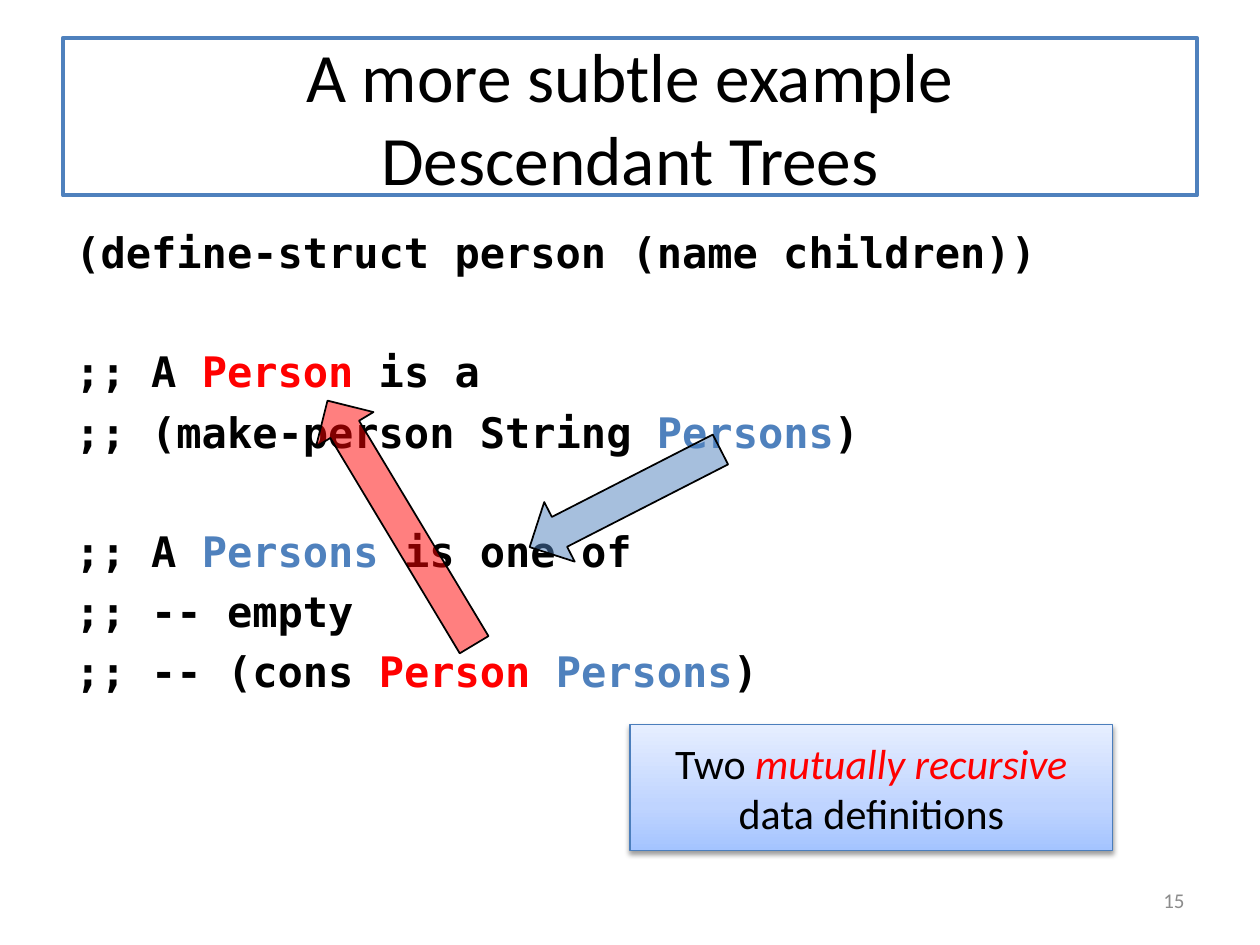
from copy import deepcopy

from lxml import etree
from pptx import Presentation
from pptx.dml.color import RGBColor
from pptx.enum.shapes import MSO_SHAPE
from pptx.enum.text import MSO_ANCHOR, MSO_AUTO_SIZE, PP_ALIGN
from pptx.oxml.ns import qn
from pptx.util import Cm, Pt

RECT, ARROW = MSO_SHAPE.RECTANGLE, MSO_SHAPE.RIGHT_ARROW
MIDDLE, NO_FIT = MSO_ANCHOR.MIDDLE, MSO_AUTO_SIZE.NONE
LEFT, CENTER, RIGHT = PP_ALIGN.LEFT, PP_ALIGN.CENTER, PP_ALIGN.RIGHT

SANS, MONO = "Calibri", "DejaVu Sans Mono"
COLORS = {
    "white": "FFFFFF", "black": "000000", "red": "FF0000", "blue": "4F81BD",
    "gray": "8C8C8C", "box_line": "4B7EBC",
}
BOX_GRADIENT = [(0, "A4C4FF"), (0.35, "BFD4FF"), (1, "E6EEFF")]
LINE_GAP, BLOCK_GAP = 5.6, 39.2

# Each code line: space before in points, then (text, colour) pieces
CODE = [
    (0, [("(define-struct person (name children))", "black")]),
    (BLOCK_GAP, [(";; A ", "black"), ("Person", "red"), (" is a", "black")]),
    (LINE_GAP, [(";; (make-person String ", "black"), ("Persons", "blue"), (")", "black")]),
    (BLOCK_GAP, [(";; A ", "black"), ("Persons", "blue"), (" is one of", "black")]),
    (LINE_GAP, [(";; -- empty", "black")]),
    (LINE_GAP, [(";; -- (cons ", "black"), ("Person ", "red"), ("Persons", "blue"),
                (")", "black")]),
]


def rgb(name):
    return RGBColor.from_string(COLORS[name])


def style(font, size, color, name=SANS, bold=False, italic=False):
    font.name, font.size, font.bold, font.italic = name, Pt(size), bold, italic
    font.color.rgb = rgb(color)


def add_run(p, text, size, color, **kw):
    r = p.add_run()
    r.text = text
    style(r.font, size, color, **kw)


def set_line(shape, color, width):
    shape.line.color.rgb = rgb(color)
    shape.line.width = Pt(width)


def add_title(s, text):
    sp = s.shapes.title
    sp.left, sp.top, sp.width, sp.height = Cm(1.27), Cm(0.76), Cm(22.86), Cm(3.18)
    sp.fill.solid()
    sp.fill.fore_color.rgb = rgb("white")
    set_line(sp, "blue", 2.25)
    tf = sp.text_frame
    tf.text = text
    tf.auto_size, tf.vertical_anchor = NO_FIT, MIDDLE
    p = tf.paragraphs[0]
    p.alignment = CENTER
    for r in p.runs:
        style(r.font, 39.6, "black")


def add_text_box(s, left, top, width, height):
    tf = s.shapes.add_textbox(Cm(left), Cm(top), Cm(width), Cm(height)).text_frame
    tf.word_wrap = True
    return tf


def add_code(s, lines):
    tf = add_text_box(s, 1.27, 4.45, 22.86, 12.57)
    for i, (gap, pieces) in enumerate(lines):
        p = tf.add_paragraph() if i else tf.paragraphs[0]
        p.alignment = LEFT
        p.space_before = Pt(gap)
        for text, color in pieces:
            add_run(p, text, 24, color, name=MONO, bold=True)


def add_page_number(s, number):
    tf = add_text_box(s, 18.2, 17.65, 5.93, 1.01)
    tf.vertical_anchor = MIDDLE
    p = tf.paragraphs[0]
    p.alignment = RIGHT
    add_run(p, number, 12, "gray")


def add_shape(s, kind, left, top, width, height):
    sp = s.shapes.add_shape(kind, Cm(left), Cm(top), Cm(width), Cm(height))
    sp.shadow.inherit = False
    return sp


def add_arrow(s, left, top, width, rotation, color):
    sp = add_shape(s, ARROW, left, top, width, 1.35)
    sp.rotation = rotation
    sp.fill.solid()
    sp.fill.fore_color.rgb = rgb(color)
    clr = sp.fill._xPr.find(qn("a:solidFill"))[0]
    etree.SubElement(clr, qn("a:alpha"), val="50000")
    set_line(sp, "black", 1)


def set_gradient(sp, stops):
    sp.fill.gradient()
    sp.fill.gradient_angle = 90
    gs_list = sp._element.spPr.find(qn("a:gradFill")).find(qn("a:gsLst"))
    gs_list.append(deepcopy(gs_list[-1]))
    for stop, (position, color) in zip(sp.fill.gradient_stops, stops):
        stop.position = position
        stop.color.rgb = RGBColor.from_string(color)


def add_shadow(sp):
    effects = sp._element.spPr.find(qn("a:effectLst"))
    shadow = etree.SubElement(effects, qn("a:outerShdw"), blurRad=str(Pt(3.1)),
                              dist=str(Pt(1.6)), dir="5400000", rotWithShape="0")
    clr = etree.SubElement(shadow, qn("a:srgbClr"), val=COLORS["black"])
    etree.SubElement(clr, qn("a:alpha"), val="38000")


def add_callout(s):
    sp = add_shape(s, RECT, 12.7, 14.61, 9.73, 2.54)
    set_gradient(sp, BOX_GRADIENT)
    set_line(sp, "box_line", 0.75)
    add_shadow(sp)
    tf = sp.text_frame
    tf.word_wrap, tf.vertical_anchor = True, MIDDLE
    p = tf.paragraphs[0]
    p.alignment = CENTER
    add_run(p, "Two ", 24, "black")
    add_run(p, "mutually recursive ", 24, "red", italic=True)
    add_run(p, "data definitions", 24, "black")


def main():
    prs = Presentation()
    prs.slide_width, prs.slide_height = Cm(25.4), Cm(19.05)
    s = prs.slides.add_slide(prs.slide_layouts[5])

    # Title and data definitions
    add_title(s, "A more subtle example\vDescendant Trees")
    add_code(s, CODE)
    add_page_number(s, "15")

    # Arrows from each use to its definition
    add_arrow(s, 10.44, 9.37, 4.32, 152.9, "blue")
    add_arrow(s, 5.21, 9.86, 5.74, 239, "red")

    add_callout(s)
    prs.save("out.pptx")


if __name__ == "__main__":
    main()
